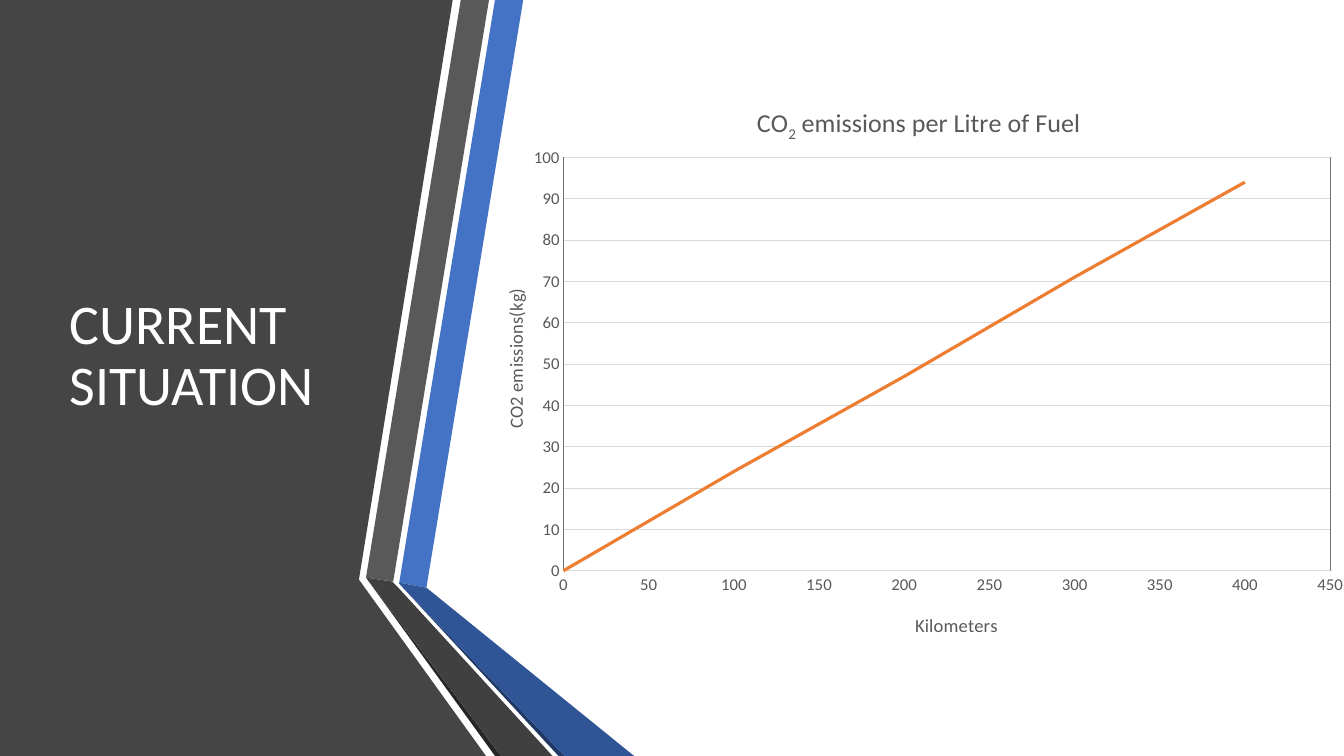
from dataclasses import dataclass

from lxml import etree
from pptx import Presentation
from pptx.chart.data import XyChartData
from pptx.dml.color import RGBColor
from pptx.enum.chart import XL_CHART_TYPE, XL_TICK_MARK
from pptx.enum.text import MSO_ANCHOR, MSO_AUTO_SIZE
from pptx.oxml import parse_xml
from pptx.oxml.ns import nsdecls, qn
from pptx.util import Inches, Pt

SCATTER = XL_CHART_TYPE.XY_SCATTER_LINES_NO_MARKERS
NO_TICK = XL_TICK_MARK.NONE
MIDDLE = MSO_ANCHOR.MIDDLE
NO_FIT = MSO_AUTO_SIZE.NONE
FONT = "Calibri"
HEX = {
    "panel": "454545", "blue": "4472C4", "grey": "595959", "black": "262626",
    "navy": "203864", "deep": "2F5597", "dark": "404040", "white": "FFFFFF",
    "grid": "D9D9D9", "line": "ED7D31", "edge": "737373",
}


@dataclass(frozen=True)
class Facet:
    color: str
    points: tuple[tuple[float, float], ...]


PANEL = Facet("panel", ((0, 0), (4.49, 0), (3.56, 5.75), (4.82, 7.5), (0, 7.5)))
BANDS = (
    Facet("blue", ((3.96, 5.78), (4.23, 5.83), (5.19, 0), (4.91, 0))),
    Facet("grey", ((4.85, 0), (4.57, 0), (3.63, 5.73), (3.9, 5.77))),
    Facet("black", ((3.63, 5.73), (4.91, 7.5), (4.97, 7.5))),
    Facet("navy", ((3.96, 5.79), (5.54, 7.5), (5.6, 7.5))),
    Facet("deep", ((3.96, 5.79), (5.6, 7.5), (6.29, 7.5), (4.23, 5.83), (3.96, 5.78))),
    Facet("dark", ((5.48, 7.5), (3.95, 5.83), (3.89, 5.77), (3.63, 5.73), (4.97, 7.5))),
)
EMISSIONS = {0: 0, 100: 24, 200: 47, 300: 71, 400: 94}


def rgb(name: str) -> RGBColor:
    return RGBColor.from_string(HEX[name])


def style(font, size: float, color: str) -> None:
    font.name, font.size, font.bold = FONT, Pt(size), False
    font.color.rgb = rgb(color)


def write(para, text: str, *, size: float, color: str, sub: bool = False) -> None:
    run = para.add_run()
    run.text = text
    style(run.font, size, color)
    if sub:
        run.font._element.set("baseline", "-25000")


def draw(shapes, facet: Facet) -> None:
    first, *rest = [(Inches(x), Inches(y)) for x, y in facet.points]
    pen = shapes.build_freeform(*first)
    pen.add_line_segments(rest, close=True)
    shape = pen.convert_to_shape()
    shape.shadow.inherit = False
    shape.fill.solid()
    shape.fill.fore_color.rgb = rgb(facet.color)
    shape.line.fill.background()


def place(node, index: int, inner: bool = False, **spots: float) -> None:
    """Give a chart part a manual layout, in fractions of the chart."""
    layout = node.find(qn("c:layout"))
    if layout is None:
        layout = parse_xml(f"<c:layout {nsdecls('c')}/>")
        node.insert(index, layout)
    manual = etree.SubElement(layout, qn("c:manualLayout"))
    if inner:
        etree.SubElement(manual, qn("c:layoutTarget")).set("val", "inner")
    for key in ("x", "y"):
        etree.SubElement(manual, qn(f"c:{key}Mode")).set("val", "edge")
    for key, value in spots.items():
        etree.SubElement(manual, qn(f"c:{key}")).set("val", str(value))


def label(title, parts: tuple[str, ...], size: float, x: float, y: float) -> None:
    """Write a chart title; every second part is a subscript."""
    para = title.text_frame.paragraphs[0]
    for i, text in enumerate(parts):
        write(para, text, size=size, color="grey", sub=i % 2 == 1)
    place(title._element, 1, x=x, y=y)


def set_axis(axis, top: int, step: int) -> None:
    axis.minimum_scale, axis.maximum_scale, axis.major_unit = 0, top, step
    axis.major_tick_mark = axis.minor_tick_mark = NO_TICK
    style(axis.tick_labels.font, 12, "grey")


def add_plot(slide) -> None:
    data = XyChartData()
    points = data.add_series("Series 1")
    for km, mass in EMISSIONS.items():
        points.add_data_point(km, mass)
    box = [Inches(n) for n in (4.78, 0.8, 8.7, 5.58)]
    chart = slide.shapes.add_chart(SCATTER, *box, data).chart
    chart.has_legend = False
    chart.font.name, chart.font.size = FONT, Pt(10)
    chart.plots[0].vary_by_categories = False

    line = chart.plots[0].series[0]
    line.smooth = False
    line.format.line.width = Pt(2.25)
    line.format.line.color.rgb = rgb("line")

    across, up = chart.category_axis, chart.value_axis
    set_axis(across, 450, 50)
    set_axis(up, 100, 10)
    across.has_major_gridlines = False
    up.has_major_gridlines = True
    up.format.line.fill.background()
    for part in (across, up.major_gridlines):
        part.format.line.width = Pt(0.75)
        part.format.line.color.rgb = rgb("grid")

    chart.has_title = True
    label(chart.chart_title, ("CO", "2", " emissions per Litre of Fuel"), 18.6, 0.31, 0.04)
    label(across.axis_title, ("Kilometers",), 13.3, 0.49, 0.95)
    label(up.axis_title, ("CO2 emissions(kg)",), 13.3, 0.02, 0.37)
    body = up.axis_title._element.find(f".//{qn('a:bodyPr')}")
    body.set("rot", "-5400000")
    body.set("vert", "horz")

    area = chart._chartSpace.find(f".//{qn('c:plotArea')}")
    place(area, 0, inner=True, x=0.093, y=0.138, w=0.874, h=0.743)
    area.append(parse_xml(
        f'<c:spPr {nsdecls("c", "a")}><a:noFill/><a:ln w="9525"><a:solidFill>'
        f'<a:srgbClr val="{HEX["edge"]}"/></a:solidFill></a:ln></c:spPr>'))


def set_title(slide) -> None:
    title = slide.shapes.title
    title.left, title.top = Inches(0.59), Inches(0.75)
    title.width, title.height = Inches(3.04), Inches(5.58)
    frame = title.text_frame
    frame.word_wrap, frame.auto_size = True, NO_FIT
    frame.vertical_anchor = MIDDLE
    para = frame.paragraphs[0]
    para.alignment = 1
    para.line_spacing = 0.9
    write(para, "CURRENT SITUATION", size=40, color="white")
    title.element.getparent().append(title.element)


def main() -> None:
    deck = Presentation()
    deck.slide_width, deck.slide_height = Inches(13.33), Inches(7.5)
    slide = deck.slides.add_slide(deck.slide_layouts[5])
    slide.background.fill.solid()
    slide.background.fill.fore_color.rgb = rgb("white")
    draw(slide.shapes, PANEL)
    group = slide.shapes.add_group_shape()
    for band in BANDS:
        draw(group.shapes, band)
    set_title(slide)
    add_plot(slide)
    deck.save("out.pptx")


if __name__ == "__main__":
    main()
